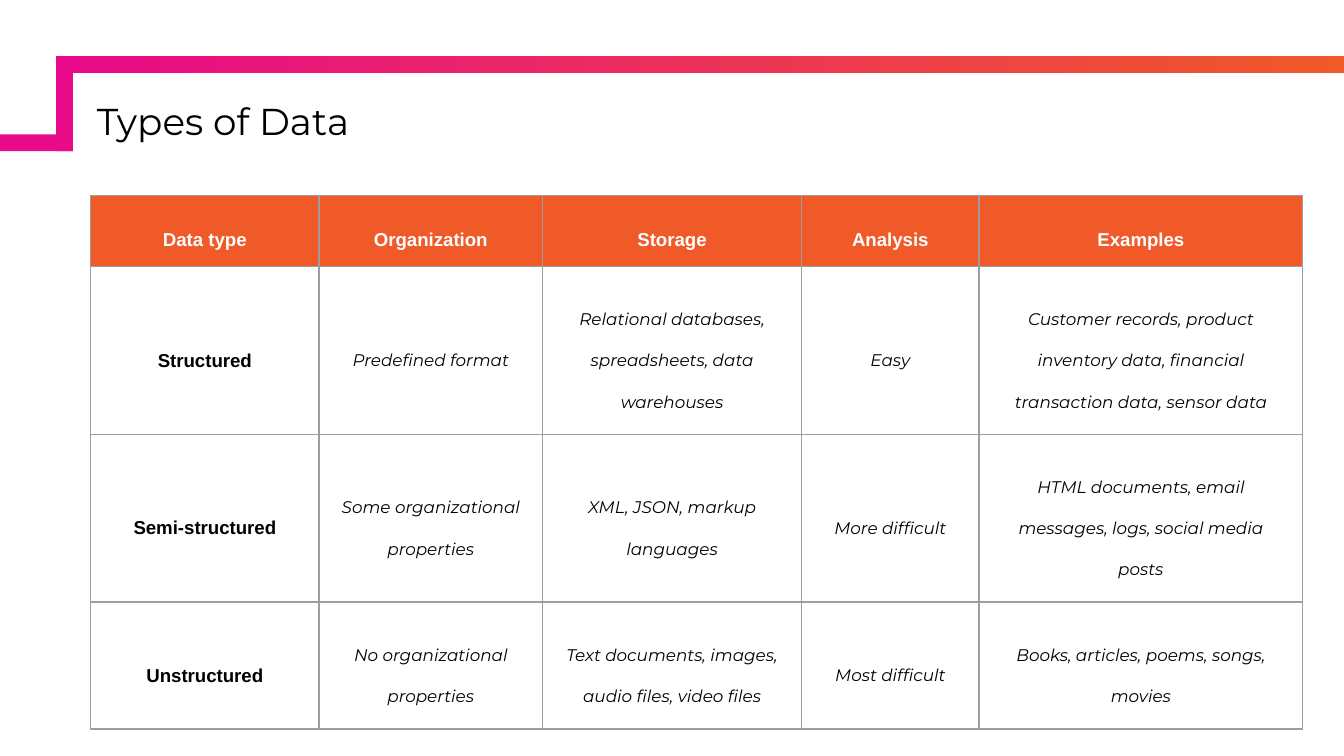
from dataclasses import dataclass

from lxml.etree import SubElement
from pptx import Presentation
from pptx.dml.color import RGBColor
from pptx.enum.shapes import MSO_SHAPE
from pptx.enum.text import MSO_ANCHOR, PP_ALIGN
from pptx.oxml.ns import qn
from pptx.util import Cm, Pt

COLORS = {
    "orange": "F05A28",
    "pink": "E80A89",
    "white": "FFFFFF",
    "black": "000000",
    "grid": "9E9E9E",
}


@dataclass
class Bar:
    left: float
    top: float
    width: float
    height: float
    start: str = "pink"
    end: str = "pink"


@dataclass
class DataType:
    name: str
    organization: str
    storage: str
    analysis: str
    examples: str
    height: float


BARS = [
    Bar(1.06, 1.06, 24.54, 0.32, end="orange"),
    Bar(1.06, 1.06, 0.32, 1.8),
    Bar(-0.2, 2.54, 1.58, 0.32),
]
COLUMN_WIDTHS = [4.32, 4.22, 4.9, 3.35, 6.12]
HEADINGS = DataType("Data type", "Organization", "Storage", "Analysis", "Examples", 1.3)
DATA_TYPES = [
    DataType("Structured", "Predefined format",
             "Relational databases, spreadsheets, data warehouses", "Easy",
             "Customer records, product inventory data, financial transaction data, sensor data",
             3.17),
    DataType("Semi-structured", "Some organizational properties",
             "XML, JSON, markup languages", "More difficult",
             "HTML documents, email messages, logs, social media posts", 3.17),
    DataType("Unstructured", "No organizational properties",
             "Text documents, images, audio files, video files", "Most difficult",
             "Books, articles, poems, songs, movies", 2.4),
]


def color(name: str) -> RGBColor:
    return RGBColor.from_string(COLORS[name])


def write(frame, text: str, *, size: float, font: str = "Montserrat", ink: str = "black",
          bold: bool = False, italic: bool = False, align=PP_ALIGN.CENTER,
          spacing: float = 2.0) -> None:
    frame.word_wrap = True
    paragraph = frame.paragraphs[0]
    paragraph.alignment = align
    paragraph.line_spacing = spacing
    run = paragraph.add_run()
    run.text = text
    run.font.size = Pt(size)
    run.font.name = font
    run.font.bold = bold
    run.font.italic = italic
    run.font.color.rgb = color(ink)


def draw_bar(slide, bar: Bar) -> None:
    strip = slide.shapes.add_shape(MSO_SHAPE.RECTANGLE, Cm(bar.left), Cm(bar.top),
                                   Cm(bar.width), Cm(bar.height))
    strip.shadow.inherit = False
    strip.line.fill.background()
    if bar.start == bar.end:
        strip.fill.solid()
        strip.fill.fore_color.rgb = color(bar.start)
    else:
        strip.fill.gradient()
        strip.fill.gradient_angle = 0
        for stop, name in zip(strip.fill.gradient_stops, (bar.start, bar.end)):
            stop.color.rgb = color(name)


def draw_title(slide, text: str) -> None:
    title = slide.shapes.add_textbox(Cm(1.7), Cm(1.98), Cm(22.94), Cm(0.87))
    frame = title.text_frame
    frame.vertical_anchor = MSO_ANCHOR.BOTTOM
    frame.margin_left = frame.margin_right = Cm(0.13)
    frame.margin_top = frame.margin_bottom = Cm(0.13)
    write(frame, text, size=20, align=PP_ALIGN.LEFT, spacing=0.9)


def format_cell(cell, fill: str | None, margin: float, anchor) -> None:
    cell.margin_left = cell.margin_right = Cm(margin)
    cell.margin_top = cell.margin_bottom = Cm(margin)
    cell.vertical_anchor = anchor
    properties = cell._tc.get_or_add_tcPr()
    for side in ("lnL", "lnR", "lnT", "lnB"):
        border = SubElement(properties, qn(f"a:{side}"), w=str(Pt(0.75)))
        solid = SubElement(border, qn("a:solidFill"))
        SubElement(solid, qn("a:srgbClr"), val=COLORS["grid"])
    if fill:
        cell.fill.solid()
        cell.fill.fore_color.rgb = color(fill)
    else:
        cell.fill.background()


def draw_table(slide, headings: DataType, data_types: list[DataType]) -> None:
    entries = [headings, *data_types]
    table = slide.shapes.add_table(
        len(entries), len(COLUMN_WIDTHS), Cm(1.71), Cm(3.69),
        Cm(sum(COLUMN_WIDTHS)), Cm(sum(entry.height for entry in entries))).table
    table.horz_banding = False
    for column, width in zip(table.columns, COLUMN_WIDTHS):
        column.width = Cm(width)
    for row, entry in zip(table.rows, entries):
        row.height = Cm(entry.height)
        facts = (entry.name, entry.organization, entry.storage, entry.analysis, entry.examples)
        for index, (cell, fact) in enumerate(zip(row.cells, facts)):
            if entry is headings:
                format_cell(cell, "orange", 0.25, MSO_ANCHOR.TOP)
                write(cell.text_frame, fact, size=10, font="Arial", ink="white", bold=True)
            elif index == 0:
                format_cell(cell, "white", 0.42, MSO_ANCHOR.MIDDLE)
                write(cell.text_frame, fact, size=10, font="Arial", bold=True)
            else:
                format_cell(cell, None, 0.42, MSO_ANCHOR.MIDDLE)
                write(cell.text_frame, fact, size=9, italic=True)


def main() -> None:
    presentation = Presentation()
    presentation.slide_width = Cm(25.4)
    presentation.slide_height = Cm(14.29)
    slide = presentation.slides.add_slide(presentation.slide_layouts[6])
    for bar in BARS:
        draw_bar(slide, bar)
    draw_title(slide, "Types of Data")
    draw_table(slide, HEADINGS, DATA_TYPES)
    presentation.save("out.pptx")


if __name__ == "__main__":
    main()
